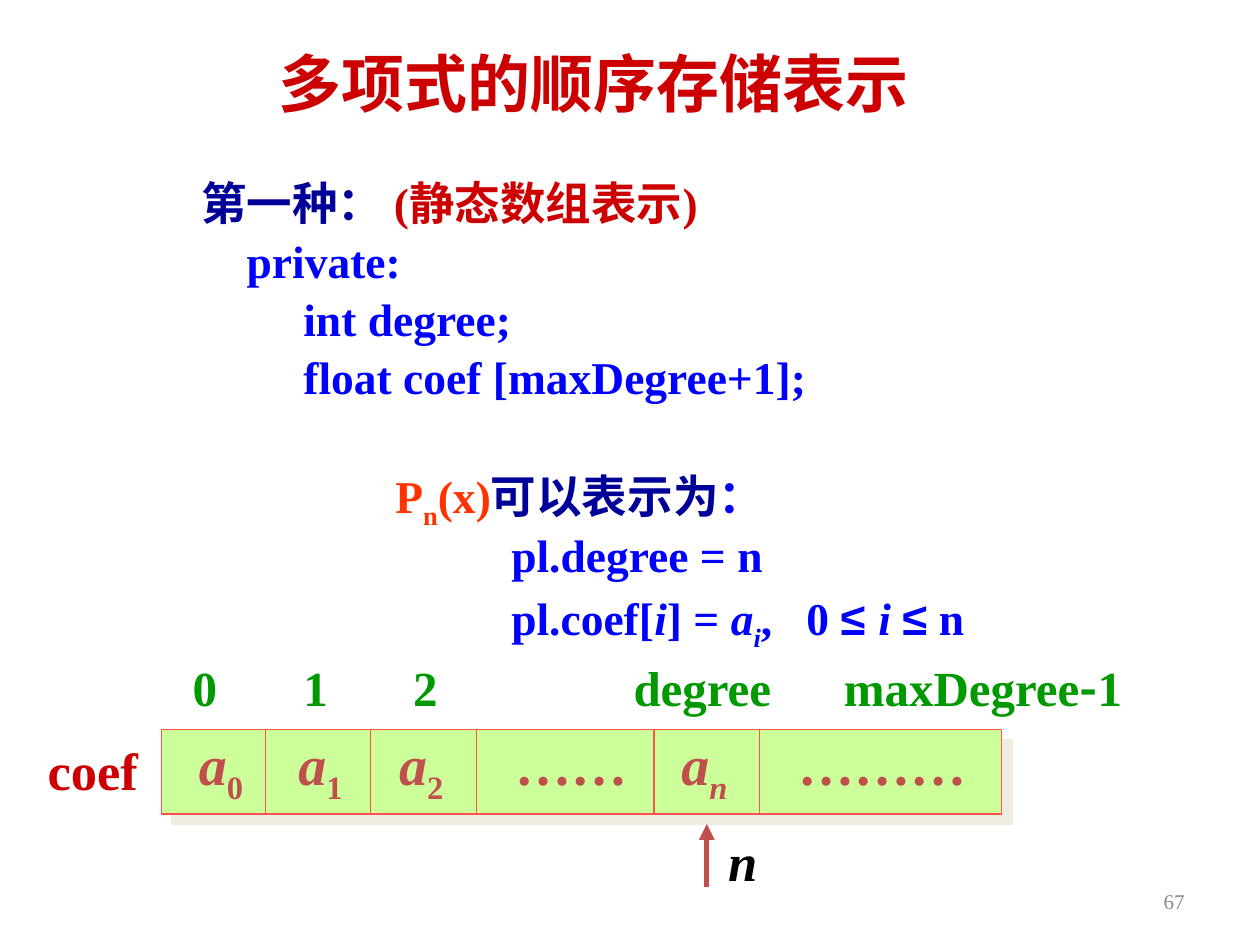
from dataclasses import dataclass

from lxml import etree
from pptx import Presentation
from pptx import util as u
from pptx.dml.color import RGBColor
from pptx.enum import shapes, text
from pptx.oxml import ns

Inches = u.Inches


@dataclass(frozen=True)
class Theme:
    face: str = "Times New Roman"
    red: str = "CC0000"
    navy: str = "000099"
    blue: str = "0000FF"
    orange: str = "FF3300"
    green: str = "009900"
    brick: str = "C0504D"
    black: str = "000000"
    gray: str = "898989"
    cell: str = "CCFF99"
    edge: str = "FF5050"
    shade: str = "EEECE1"
    title: int = 36
    item: int = 32
    name: int = 30
    label: int = 28
    body: int = 26
    page: int = 12


T = Theme()
SUB = {"sub": True}
ITAL = {"italic": True}
ITSUB = {"italic": True, "sub": True}


def rgb(code):
    return RGBColor.from_string(code)


def add_xml(parent, tag, **attrs):
    return etree.SubElement(parent, ns.qn(tag), attrs)


def add_box(slide, left, top, width, height):
    frame = slide.shapes.add_textbox(
        Inches(left), Inches(top), Inches(width), Inches(height)).text_frame
    frame.word_wrap = True
    return frame


def fill_para(para, runs, size, color, face=T.face, bold=True, italic=None,
              indent=0):
    """Write runs, each a string or a (string, style) pair, into a paragraph."""
    props = para._p.get_or_add_pPr()
    props.set("marL", "0")
    props.set("indent", str(Inches(indent)))
    font = para.font
    font.size, font.name, font.bold, font.italic = u.Pt(size), face, bold, italic
    font.color.rgb = rgb(color)
    for item in runs:
        words, style = (item, {}) if isinstance(item, str) else item
        run = para.add_run()
        run.text = words
        if "color" in style:
            run.font.color.rgb = rgb(style["color"])
        if "face" in style:
            run.font.name = style["face"]
        if "italic" in style:
            run.font.italic = style["italic"]
        if "sub" in style:
            run._r.get_or_add_rPr().set("baseline", "-25000")
        if "track" in style:
            run._r.get_or_add_rPr().set("spc", str(style["track"] * 100))


def add_text(slide, place, runs, size, color, align=None, anchor=None, **style):
    frame = add_box(slide, *place)
    if anchor:
        frame.vertical_anchor = anchor
    para = frame.paragraphs[0]
    para.alignment = align
    fill_para(para, runs, size, color, **style)


def add_body(slide):
    orange = {"color": T.orange}
    sign = {"face": "Arial"}
    lines = [
        (0, 0, [("第一种： ", {"color": T.navy}),
                ("(静态数组表示)", {"color": T.red})]),
        (0.36, 6.5, ["private:"]),
        (0.81, 6.5, ["int degree;"]),
        (0.81, 6.5, ["float coef [maxDegree+1];"]),
        (1.54, 39, [("P", orange), ("n", orange | SUB), ("(x)", orange),
                    ("可以表示为", {"color": T.navy}), "："]),
        (2.46, 6.5, ["pl.degree = n"]),
        (2.46, 6.5, ["pl.coef[", ("i", ITAL), "] = ", ("a", ITAL),
                     ("i", ITSUB), ",", (" ", {"track": 13}), "0 ",
                     ("≤ ", sign), ("i ", ITAL), ("≤", sign), " n"]),
    ]
    frame = add_box(slide, 1.5, 1.41, 8.5, 3.92)
    for row, (indent, space, runs) in enumerate(lines):
        para = frame.add_paragraph() if row else frame.paragraphs[0]
        para.line_spacing = 0.85
        para.space_before = u.Pt(space)
        fill_para(para, runs, T.body, T.blue, indent=indent)


def add_line(slide, start, end, color, width, head=False):
    line = slide.shapes.add_connector(
        shapes.MSO_CONNECTOR.STRAIGHT, *map(Inches, start + end))
    line.line.color.rgb = rgb(color)
    line.line.width = u.Pt(width)
    if head:
        add_xml(line.line._get_or_add_ln(), "a:tailEnd", type="triangle")
    add_xml(line._element.spPr, "a:effectLst")


def add_bar(slide):
    """Draw the array bar with its solid shadow and cell dividers."""
    left, top, width, height = 1.28, 5.79, 6.67, 0.67
    bar = slide.shapes.add_shape(
        shapes.MSO_SHAPE.RECTANGLE, *map(Inches, (left, top, width, height)))
    bar.fill.solid()
    bar.fill.fore_color.rgb = rgb(T.cell)
    bar.line.color.rgb = rgb(T.edge)
    bar.line.width = u.Pt(0.75)
    bar.shadow.inherit = False
    effects = bar._element.spPr.find(ns.qn("a:effectLst"))
    shade = add_xml(effects, "a:outerShdw", dist=str(u.Pt(8.5)),
                    dir="2700000", algn="ctr", rotWithShape="0")
    add_xml(shade, "a:srgbClr", val=T.shade)
    for x in (2.11, 2.94, 3.78, 5.19, 6.03):
        add_line(slide, (x, top), (x, top + height), T.edge, 0.75)


def add_array(slide):
    add_bar(slide)
    plain = {"italic": False}
    low = plain | SUB
    items = [
        (1.48, 0.8, ["a", ("0", low)]),
        (2.27, 0.8, ["a", ("1", low)]),
        (3.07, 0.8, ["a", ("2", low)]),
        (3.99, 1.2, [("……", plain)]),
        (5.31, 0.8, ["a", ("n", SUB)]),
        (6.24, 1.7, [("………", plain)]),
    ]
    for left, width, runs in items:
        add_text(slide, (left, 5.74, width, 0.71), runs, T.item, T.brick,
                 italic=True)
    minus = ("-", {"face": "Noto Sans CJK SC"})
    labels = [
        (1.43, 0.5, ["0"]),
        (2.31, 0.5, ["1"]),
        (3.18, 0.5, ["2"]),
        (4.93, 1.5, ["degree"]),
        (6.6, 2.6, ["maxDegree", minus, "1"]),
    ]
    for left, width, runs in labels:
        add_text(slide, (left, 5.17, width, 0.57), runs, T.label, T.green)
    add_text(slide, (0.28, 5.81, 1, 0.6), ["coef"], T.name, T.red)
    add_line(slide, (5.61, 7.04), (5.61, 6.54), T.brick, 3, head=True)
    add_text(slide, (5.68, 6.53, 0.43, 0.6), ["n"], T.name, T.black, italic=True)


def main():
    deck = Presentation()
    deck.slide_width, deck.slide_height = Inches(10), Inches(7.5)
    slide = deck.slides.add_slide(deck.slide_layouts[6])
    middle = text.MSO_ANCHOR.MIDDLE
    add_text(slide, (1.46, 0.28, 6.5, 0.75), ["多项式的顺序存储表示"],
             T.title, T.red, text.PP_ALIGN.CENTER, middle, face="DejaVu Sans")
    add_body(slide)
    add_array(slide)
    add_text(slide, (7.17, 6.95, 2.33, 0.4), ["67"], T.page, T.gray,
             text.PP_ALIGN.RIGHT, middle, bold=False)
    deck.save("out.pptx")


if __name__ == "__main__":
    main()
